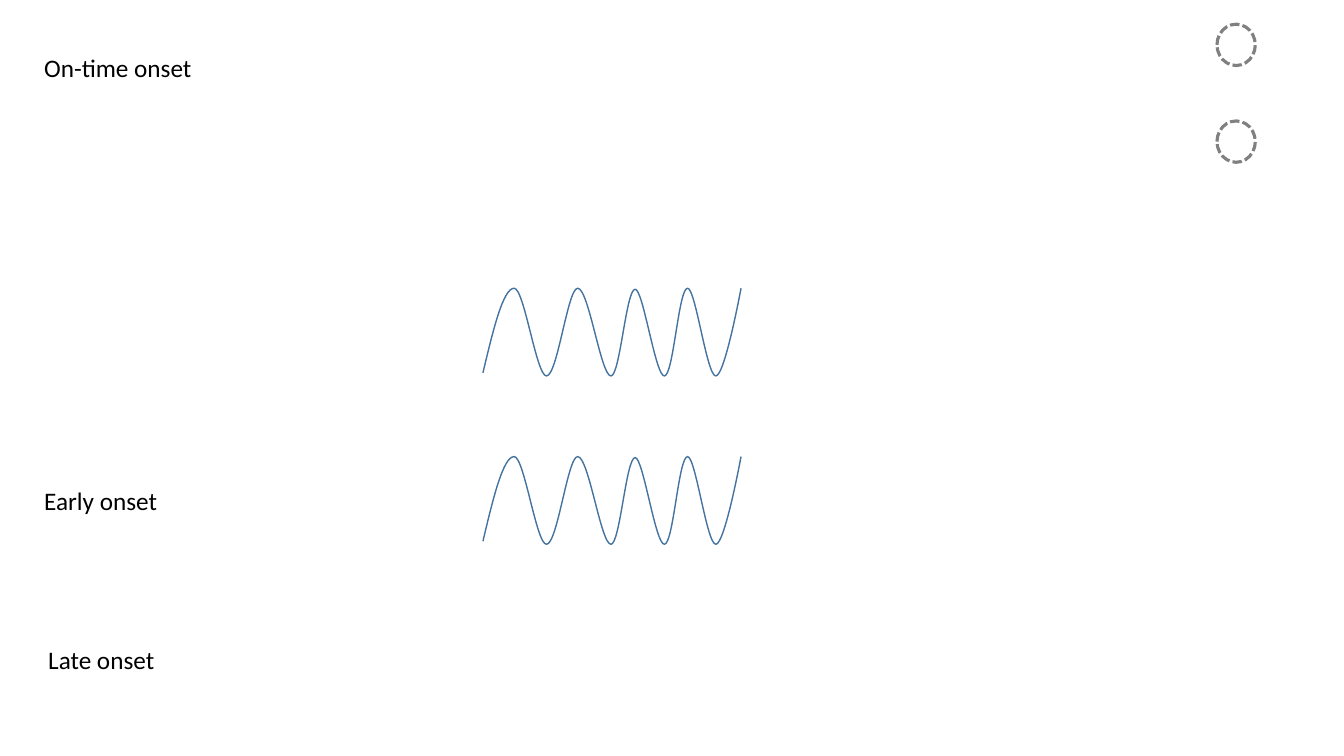
"""Slide with three onset labels, two waves and two dashed circles."""
from lxml.etree import SubElement
from pptx import Presentation
from pptx.dml.color import RGBColor
from pptx.enum.dml import MSO_LINE
from pptx.enum.shapes import MSO_SHAPE
from pptx.enum.text import MSO_AUTO_SIZE
from pptx.oxml.ns import qn
from pptx.util import Pt

PX = 9144


def rgb(color):
    return RGBColor.from_string(color)


def outline(sp, color, width):
    sp.shadow.inherit = False
    sp.fill.background()
    sp.line.color.rgb = rgb(color)
    sp.line.width = Pt(width)


prs = Presentation()
prs.slide_width, prs.slide_height = 1333 * PX, 750 * PX
s = prs.slides.add_slide(prs.slide_layouts[6])

labels = [
    ("Early onset", 34, 477, 133),
    ("Late onset", 38, 634, 127),
    ("On-time onset", 34, 47, 168),
]
for text, x, y, w in labels:
    tf = s.shapes.add_textbox(x * PX, y * PX, w * PX, 40 * PX).text_frame
    tf.word_wrap = False
    tf.auto_size = MSO_AUTO_SIZE.SHAPE_TO_FIT_TEXT
    r = tf.paragraphs[0].add_run()
    r.text = text
    r.font.name = "Calibri"
    r.font.size = Pt(18)
    r.font.color.rgb = rgb("000000")

left = 479
knots = [(0, 84), (31, 0), (63, 87), (94, 0), (127, 87),
         (151, 1), (180, 87), (203, 0), (231, 87), (256, 0)]
handles = [(10, 20), (41, 53), (74, 84), (105, 117), (136, 142),
           (159, 171), (189, 194), (211, 222), (240, 256)]

for top in (286, 453):
    pts = [(left + x, top + y) for x, y in knots]
    fb = s.shapes.build_freeform(*pts[0], scale=PX)
    fb.add_line_segments(pts[1:], close=False)
    sp = fb.convert_to_shape()
    outline(sp, "43739E", 1)
    path = next(sp.element.iter(qn("a:path")))
    for line in path.findall(qn("a:lnTo")):
        path.remove(line)
    for i, (h1, h2) in enumerate(handles):
        start, end = knots[i], knots[i + 1]
        curve = SubElement(path, qn("a:cubicBezTo"))
        for x, y in ((h1, start[1] if i else 42), (h2, end[1]), end):
            SubElement(curve, qn("a:pt"), x=str(x), y=str(y))

for top in (120, 24):
    sp = s.shapes.add_shape(MSO_SHAPE.OVAL, 1207 * PX, top * PX, 38 * PX, 41 * PX)
    outline(sp, "808080", 2.25)
    sp.line.dash_style = MSO_LINE.SQUARE_DOT

prs.save("out.pptx")
